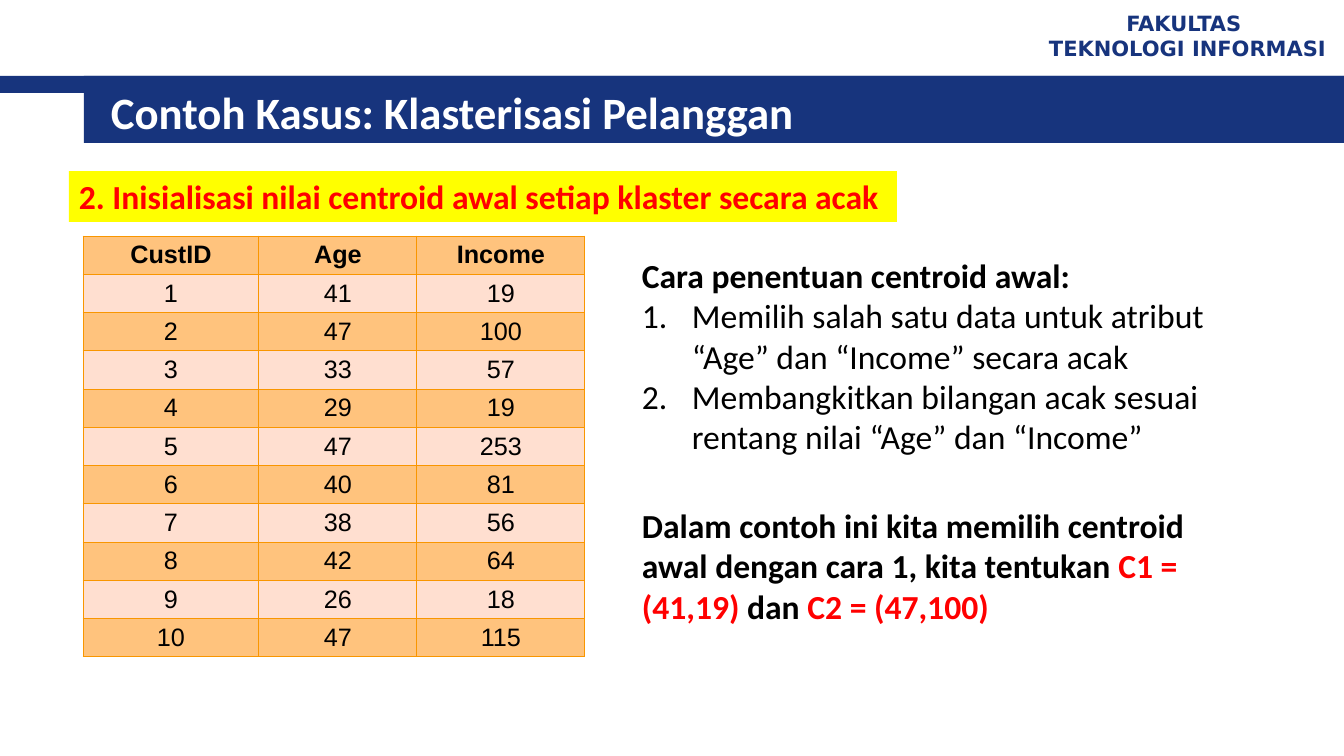
import pptx
import pptx.util
import pptx.dml.color
import pptx.enum.shapes
import pptx.enum.text
import pptx.oxml
import pptx.oxml.ns
from lxml import etree

RGBColor = pptx.dml.color.RGBColor
NAVY = RGBColor(0x17, 0x34, 0x7D)
WHITE = RGBColor(0xFF, 0xFF, 0xFF)
BLACK = RGBColor(0x00, 0x00, 0x00)
RED = RGBColor(0xFF, 0x00, 0x00)
YELLOW = RGBColor(0xFF, 0xFF, 0x00)
ORANGE = RGBColor(0xFF, 0xC3, 0x7D)
PEACH = RGBColor(0xFF, 0xDF, 0xD0)
GRID = RGBColor(0xF9, 0x96, 0x00)

PX_PER_INCH = 100.8
CENTER = pptx.enum.text.PP_ALIGN.CENTER
LEFT = pptx.enum.text.PP_ALIGN.LEFT
MIDDLE = pptx.enum.text.MSO_ANCHOR.MIDDLE
TOP = pptx.enum.text.MSO_ANCHOR.TOP

CUSTOMERS = [
    ("CustID", "Age", "Income"),
    (1, 41, 19),
    (2, 47, 100),
    (3, 33, 57),
    (4, 29, 19),
    (5, 47, 253),
    (6, 40, 81),
    (7, 38, 56),
    (8, 42, 64),
    (9, 26, 18),
    (10, 47, 115),
]


def px(length):
    return pptx.util.Emu(round(length * 914400 / PX_PER_INCH))


def add_run(paragraph, text, size, color, bold=True, font="Calibri"):
    run = paragraph.add_run()
    run.text = text
    run.font.name = font
    run.font.size = pptx.util.Pt(size)
    run.font.bold = bold
    run.font.color.rgb = color


def add_bar(slide, left, top, width, height, color):
    bar = slide.shapes.add_shape(
        pptx.enum.shapes.MSO_SHAPE.RECTANGLE, px(left), px(top), px(width), px(height))
    bar.shadow.inherit = False
    bar.fill.solid()
    bar.fill.fore_color.rgb = color
    bar.line.fill.background()
    return bar


def add_text_frame(slide, left, top, width, height, anchor=TOP):
    frame = slide.shapes.add_textbox(px(left), px(top), px(width), px(height)).text_frame
    frame.word_wrap = True
    frame.vertical_anchor = anchor
    return frame


def add_paragraph(frame, first, align=LEFT):
    paragraph = frame.paragraphs[0] if first else frame.add_paragraph()
    paragraph.alignment = align
    return paragraph


def number_paragraph(paragraph, indent):
    properties = paragraph._p.get_or_add_pPr()
    properties.set("marL", str(px(indent)))
    properties.set("indent", str(-px(indent)))
    numbering = etree.SubElement(properties, pptx.oxml.ns.qn("a:buAutoNum"))
    numbering.set("type", "arabicPeriod")


def add_header(slide, left, top, width, height):
    add_bar(slide, left, top + 76, width, 17, NAVY)
    add_bar(slide, left + 84, top + 76, width - 84, height - 76, NAVY)
    faculty = add_text_frame(slide, left + width - 313, top + 5, 313, 62, MIDDLE)
    for index, line in enumerate(("FAKULTAS ", "TEKNOLOGI INFORMASI")):
        add_run(add_paragraph(faculty, index == 0, CENTER), line, 15, NAVY, font="DejaVu Sans")
    title = add_text_frame(slide, left + 101, top + 81, 1199, 62, MIDDLE)
    add_run(title.paragraphs[0], "Contoh Kasus: Klasterisasi Pelanggan", 32, WHITE)


def add_step(slide, left, top, width, height):
    step = add_bar(slide, left, top, width, height, YELLOW).text_frame
    step.word_wrap = False
    step.vertical_anchor = TOP
    add_run(add_paragraph(step, True),
            "2. Inisialisasi nilai centroid awal setiap klaster secara acak", 24, RED)


def add_cell_borders(cell):
    properties = cell._tc.get_or_add_tcPr()
    for index, side in enumerate(("lnL", "lnR", "lnT", "lnB")):
        border = pptx.oxml.parse_xml(
            f'<a:{side} {pptx.oxml.ns.nsdecls("a")} w="9525">'
            f'<a:solidFill><a:srgbClr val="{GRID}"/></a:solidFill></a:{side}>')
        properties.insert(index, border)


def add_customers(slide, left, top, width, height):
    table = slide.shapes.add_table(
        len(CUSTOMERS), 3, px(left), px(top), px(width), px(height)).table
    for column, column_width in zip(table.columns, (176, 158, width - 176 - 158)):
        column.width = px(column_width)
    for row_index, customer in enumerate(CUSTOMERS):
        table.rows[row_index].height = px(height / len(CUSTOMERS))
        for column_index, value in enumerate(customer):
            cell = table.cell(row_index, column_index)
            cell.margin_top = cell.margin_bottom = 0
            cell.vertical_anchor = MIDDLE
            cell.fill.solid()
            cell.fill.fore_color.rgb = PEACH if row_index % 2 else ORANGE
            add_cell_borders(cell)
            add_run(add_paragraph(cell.text_frame, True, CENTER),
                    str(value), 18, BLACK, row_index == 0, "Arial")


def add_explanation(slide, left, top, width, height):
    methods = add_text_frame(slide, left, top, width, 214)
    add_run(add_paragraph(methods, True), "Cara penentuan centroid awal:", 24, BLACK)
    for method in (
        "Memilih salah satu data untuk atribut “Age” dan “Income” secara acak",
        "Membangkitkan bilangan acak sesuai rentang nilai “Age” dan “Income”",
    ):
        item = add_paragraph(methods, False)
        number_paragraph(item, 50)
        add_run(item, method, 24, BLACK, False)
    choice = add_text_frame(slide, left, top + height - 132, width, 132)
    sentence = add_paragraph(choice, True)
    for text, color in (
        ("Dalam contoh ini kita memilih centroid awal dengan cara 1, kita tentukan ", BLACK),
        ("C1 = (41,19)", RED),
        (" dan ", BLACK),
        ("C2 = (47,100)", RED),
    ):
        add_run(sentence, text, 24, color)


def main():
    deck = pptx.Presentation()
    deck.slide_width = px(1344)
    deck.slide_height = px(756)
    slide = deck.slides.add_slide(deck.slide_layouts[6])
    add_header(slide, 0, 0, 1344, 143)
    add_customers(slide, 83, 236, 502, 421)
    add_step(slide, 69, 171, 828, 51)
    add_explanation(slide, 632, 250, 611, 382)
    deck.save("out.pptx")


if __name__ == "__main__":
    main()
